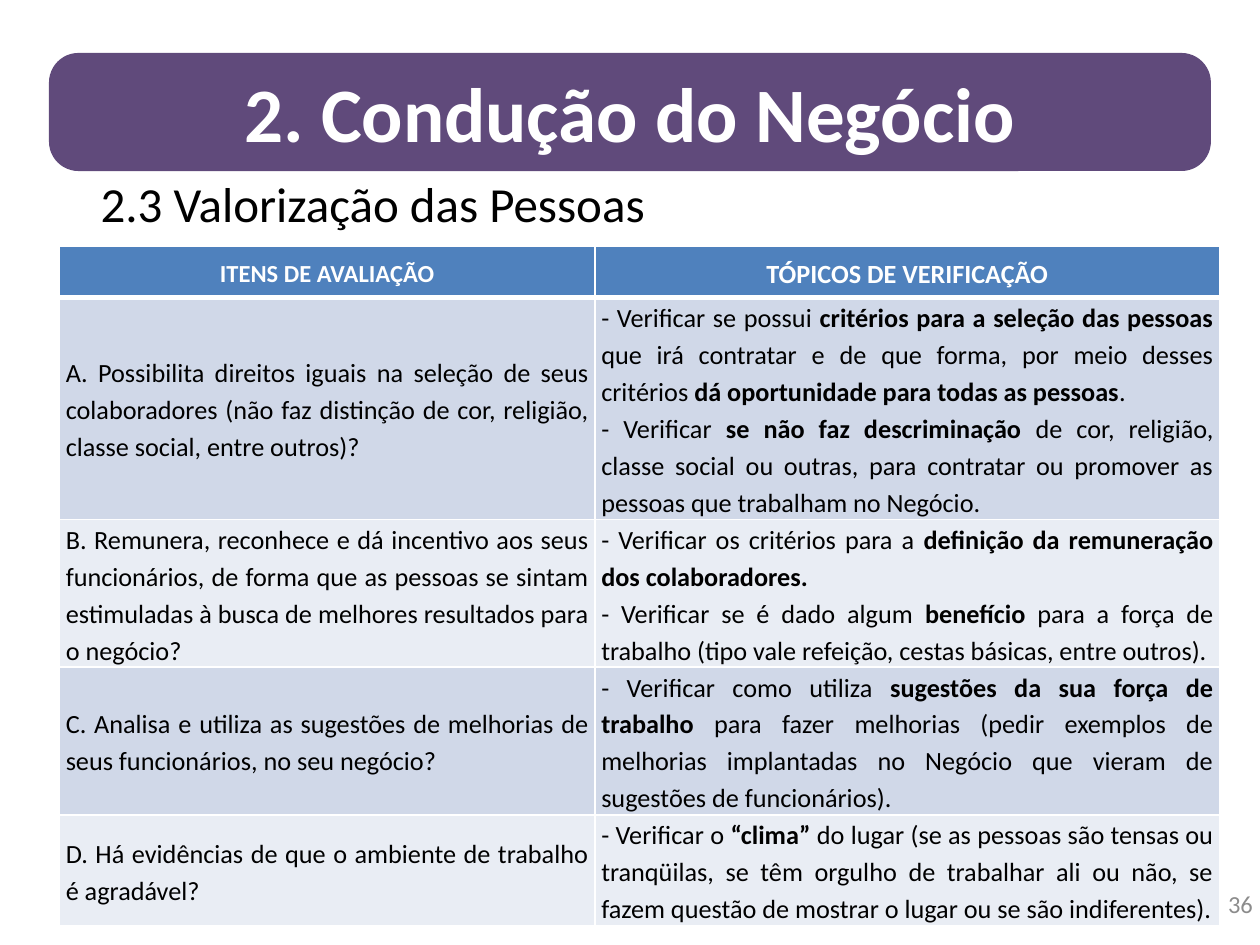
from pptx import Presentation
from pptx.dml.color import RGBColor
from pptx.enum.shapes import MSO_SHAPE
from pptx.enum.text import MSO_ANCHOR as Anchor, PP_ALIGN as Align
from pptx.oxml import parse_xml
from pptx.oxml.ns import nsdecls
from pptx.util import Pt

WHITE = RGBColor(0xFF, 0xFF, 0xFF)
BLACK = RGBColor(0, 0, 0)
GRAY = RGBColor(0x8C, 0x8C, 0x8C)
PURPLE = RGBColor(0x60, 0x4A, 0x7B)
HEADER_BLUE = RGBColor(0x4F, 0x81, 0xBD)
ROW_BANDS = (RGBColor(0xD0, 0xD8, 0xE8), RGBColor(0xE9, 0xED, 0xF4))

FONT = "Calibri"
COLUMN_WIDTHS = (306, 357)
HEADER_HEIGHT = 29.5
LINE_HEIGHT = 21.1

HEADINGS = (("ITENS DE AVALIAÇÃO", 14), ("TÓPICOS DE VERIFICAÇÃO", 15))

# Item, topics (bold between ** marks), number of text lines in the row
CRITERIA = [
    ("A. Possibilita direitos iguais na seleção de seus colaboradores (não faz "
     "distinção de cor, religião, classe social, entre outros)?",
     ["- Verificar se possui **critérios para a seleção das pessoas **que irá "
      "contratar e de que forma, por meio desses critérios **dá oportunidade "
      "para todas as pessoas**.",
      "- Verificar **se não faz descriminação **de cor, religião, classe social "
      "ou outras, para contratar ou promover as pessoas que trabalham no Negócio."],
     6),
    ("B. Remunera, reconhece e dá incentivo aos seus funcionários, de forma que "
     "as pessoas se sintam estimuladas à busca de melhores resultados para o "
     "negócio? ",
     ["- Verificar os critérios para a **definição da remuneração dos "
      "colaboradores.**",
      "- Verificar se é dado algum **benefício** para a força de trabalho (tipo "
      "vale refeição, cestas básicas, entre outros)."],
     4),
    ("C. Analisa e utiliza as sugestões de melhorias de seus funcionários, no "
     "seu negócio?",
     ["- Verificar como utiliza **sugestões da sua força de trabalho **para "
      "fazer melhorias (pedir exemplos de melhorias implantadas no Negócio que "
      "vieram de sugestões de funcionários)."],
     4),
    ("D. Há evidências de que o ambiente de trabalho é agradável?",
     ["- Verificar o **“clima” **do lugar (se as pessoas são tensas ou "
      "tranqüilas, se têm orgulho de trabalhar ali ou não, se fazem questão de "
      "mostrar o lugar ou se são indiferentes)."],
     3),
]


def write_text(frame, paragraphs, size=15, color=BLACK, bold=False,
               align=Align.LEFT, spacing=None):
    """Fill a text frame; ** marks switch bold on and off."""
    frame.word_wrap = True
    for index, text in enumerate(paragraphs):
        paragraph = frame.add_paragraph() if index else frame.paragraphs[0]
        paragraph.alignment = align
        if spacing:
            paragraph.line_spacing = spacing
        for part, words in enumerate(text.split("**")):
            if not words:
                continue
            run = paragraph.add_run()
            run.text = words
            run.font.name = FONT
            run.font.size = Pt(size)
            run.font.bold = bold or part % 2 == 1
            run.font.color.rgb = color


def add_label(slide, text, left, top, width, height, anchor=Anchor.TOP, **style):
    box = slide.shapes.add_textbox(Pt(left), Pt(top), Pt(width), Pt(height))
    box.text_frame.vertical_anchor = anchor
    write_text(box.text_frame, [text], **style)


def add_banner(slide, text):
    banner = slide.shapes.add_shape(
        MSO_SHAPE.ROUNDED_RECTANGLE, Pt(28), Pt(30.25), Pt(664), Pt(67.5))
    banner.adjustments[0] = 0.25
    banner.shadow.inherit = False
    banner.fill.solid()
    banner.fill.fore_color.rgb = PURPLE
    banner.line.fill.background()
    banner.text_frame.vertical_anchor = Anchor.MIDDLE
    write_text(banner.text_frame, [text], size=44, color=WHITE, bold=True,
               align=Align.CENTER)


def set_borders(cell, **widths):
    """Draw white borders; the fill must be set afterwards to follow them."""
    properties = cell._tc.get_or_add_tcPr()
    for side, width in widths.items():
        properties.append(parse_xml(
            f'<a:ln{side} {nsdecls("a")} w="{Pt(width)}"><a:solidFill>'
            f'<a:srgbClr val="{WHITE}"/></a:solidFill></a:ln{side}>'))


def fill_cell(cell, paragraphs, fill, top=1, bottom=1, **style):
    cell.margin_left = cell.margin_right = Pt(3.6)
    cell.margin_top = cell.margin_bottom = 0
    cell.vertical_anchor = Anchor.MIDDLE
    set_borders(cell, L=1, R=1, T=top, B=bottom)
    cell.fill.solid()
    cell.fill.fore_color.rgb = fill
    write_text(cell.text_frame, paragraphs, spacing=1.15, **style)


def add_criteria_table(slide):
    heights = [HEADER_HEIGHT] + [lines * LINE_HEIGHT for *_, lines in CRITERIA]
    table = slide.shapes.add_table(
        len(heights), len(COLUMN_WIDTHS), Pt(34), Pt(140.5),
        Pt(sum(COLUMN_WIDTHS)), Pt(sum(heights))).table
    for column, width in zip(table.columns, COLUMN_WIDTHS):
        column.width = Pt(width)
    for row, height in zip(table.rows, heights):
        row.height = Pt(height)

    for column, (heading, size) in enumerate(HEADINGS):
        fill_cell(table.cell(0, column), [heading], HEADER_BLUE, bottom=3,
                  size=size, color=WHITE, bold=True, align=Align.CENTER)
    for row, (item, topics, _) in enumerate(CRITERIA, start=1):
        band = ROW_BANDS[(row - 1) % 2]
        for column, paragraphs in enumerate(([item], topics)):
            fill_cell(table.cell(row, column), paragraphs, band,
                      top=3 if row == 1 else 1, align=Align.JUSTIFY)


def main():
    deck = Presentation()
    deck.slide_width, deck.slide_height = Pt(720), Pt(540)
    slide = deck.slides.add_slide(deck.slide_layouts[6])
    add_criteria_table(slide)
    add_label(slide, "2.3 Valorização das Pessoas", 50.4, 95.75, 623.5, 56,
              size=28)
    add_banner(slide, "2. Condução do Negócio")
    add_label(slide, "36", 555, 502, 168, 28.75, anchor=Anchor.MIDDLE,
              size=14, color=GRAY, align=Align.RIGHT)
    deck.save("out.pptx")


if __name__ == "__main__":
    main()
